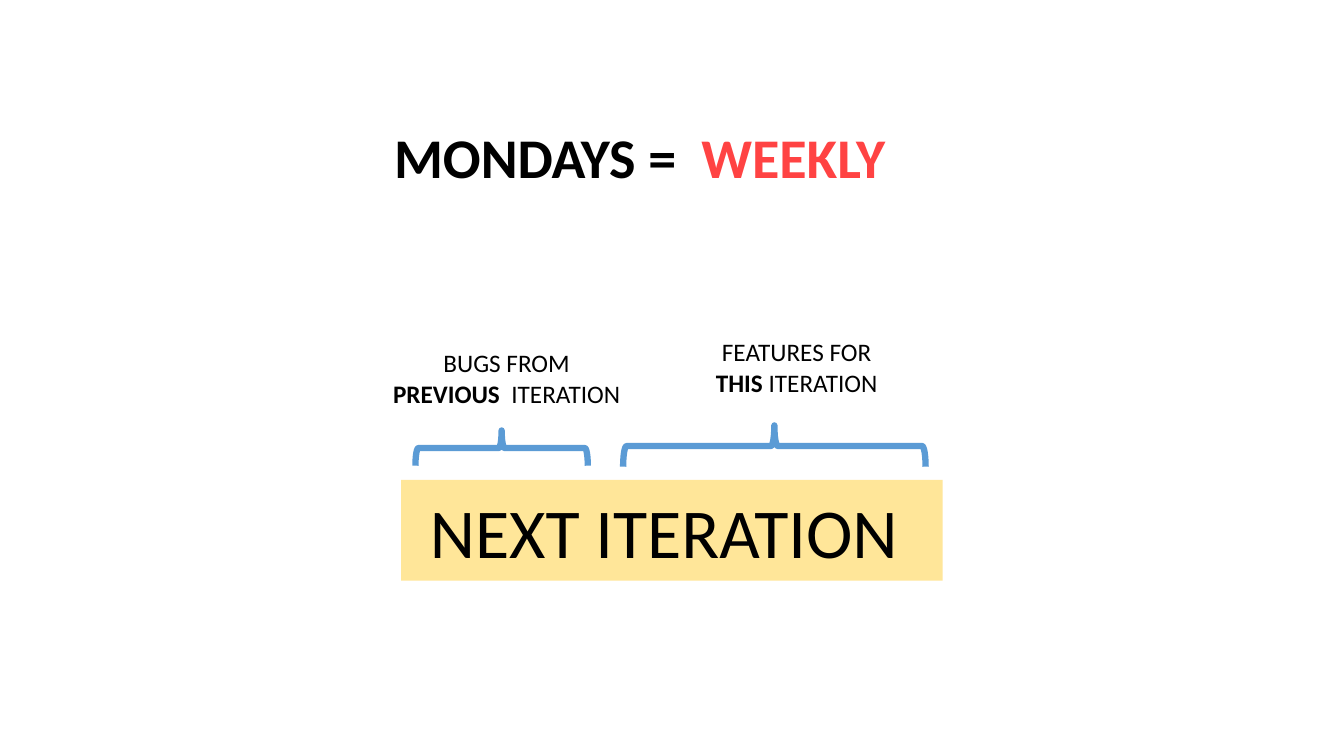
from pptx import Presentation
from pptx.dml.color import RGBColor
from pptx.enum.shapes import MSO_SHAPE
from pptx.enum.text import MSO_ANCHOR, MSO_AUTO_SIZE, PP_ALIGN
from pptx.util import Pt

PX = 9144  # EMU per px, 100 px to the inch
BLACK = RGBColor(0x00, 0x00, 0x00)
RED = RGBColor(0xFF, 0x43, 0x43)
BLUE = RGBColor(0x5B, 0x9B, 0xD5)
SAND = RGBColor(0xFF, 0xE6, 0x99)


def emu(*sizes):
    return [round(size * PX) for size in sizes]


def write(frame, lines, size, align):
    """Fill a frame; each line is a list of (text, format values) runs."""
    for i, line in enumerate(lines):
        para = frame.paragraphs[0] if i == 0 else frame.add_paragraph()
        para.alignment = align
        for text, extra in line:
            run = para.add_run()
            run.text = text
            style = {"name": "Calibri", "size": Pt(size), "bold": False, **extra}
            color = style.pop("color", BLACK)
            for key, value in style.items():
                setattr(run.font, key, value)
            run.font.color.rgb = color


def label(slide, box, lines, size, align=PP_ALIGN.CENTER):
    frame = slide.shapes.add_textbox(*emu(*box)).text_frame
    frame.word_wrap = False
    frame.auto_size = MSO_AUTO_SIZE.SHAPE_TO_FIT_TEXT
    write(frame, lines, size, align)


def bar(slide, box, text):
    shape = slide.shapes.add_shape(MSO_SHAPE.RECTANGLE, *emu(*box))
    shape.shadow.inherit = False
    shape.fill.solid()
    shape.fill.fore_color.rgb = SAND
    shape.line.fill.background()
    shape.text_frame.vertical_anchor = MSO_ANCHOR.MIDDLE
    write(shape.text_frame, [[(text, {})]], 50, PP_ALIGN.CENTER)


def brace(slide, box):
    """Draw a brace that points up and fills the box as seen on the slide."""
    x, y, w, h = box
    shift = (w - h) / 2
    shape = slide.shapes.add_shape(
        MSO_SHAPE.LEFT_BRACE, *emu(x + shift, y - shift, h, w))
    shape.rotation = 90
    shape.shadow.inherit = False
    shape.fill.background()
    shape.line.color.rgb = BLUE
    shape.line.width = Pt(4.5)


def plan(slide, box):
    """Place the heading, the two braced parts and the bar under them."""
    x, y, w, h = box
    bold = {"bold": True}
    label(slide, (x - 17, y, 512, 77),
          [[("MONDAYS =  ", bold), ("WEEKLY", {"bold": True, "color": RED})]],
          40, PP_ALIGN.LEFT)
    bar(slide, (x, y + h - 100, w, 100), "NEXT ITERATION ")
    parts = [
        ((14, 310, 171, 35), (-19, 223, 247, 71),
         [[("BUGS FROM", {})], [("PREVIOUS", bold), ("  ITERATION", {})]]),
        ((220, 305, 300, 41), (302, 212, 186, 71),
         [[("FEATURES FOR ", {})], [("THIS", bold), (" ITERATION ", {})]]),
    ]
    for mark, note, lines in parts:
        brace(slide, (x + mark[0], y + mark[1], *mark[2:]))
        label(slide, (x + note[0], y + note[1], *note[2:]), lines, 18)


def main():
    deck = Presentation()
    deck.slide_width, deck.slide_height = emu(1333, 750)
    slide = deck.slides.add_slide(deck.slide_layouts[6])
    plan(slide, (398, 117, 537, 459))
    deck.save("out.pptx")


if __name__ == "__main__":
    main()
